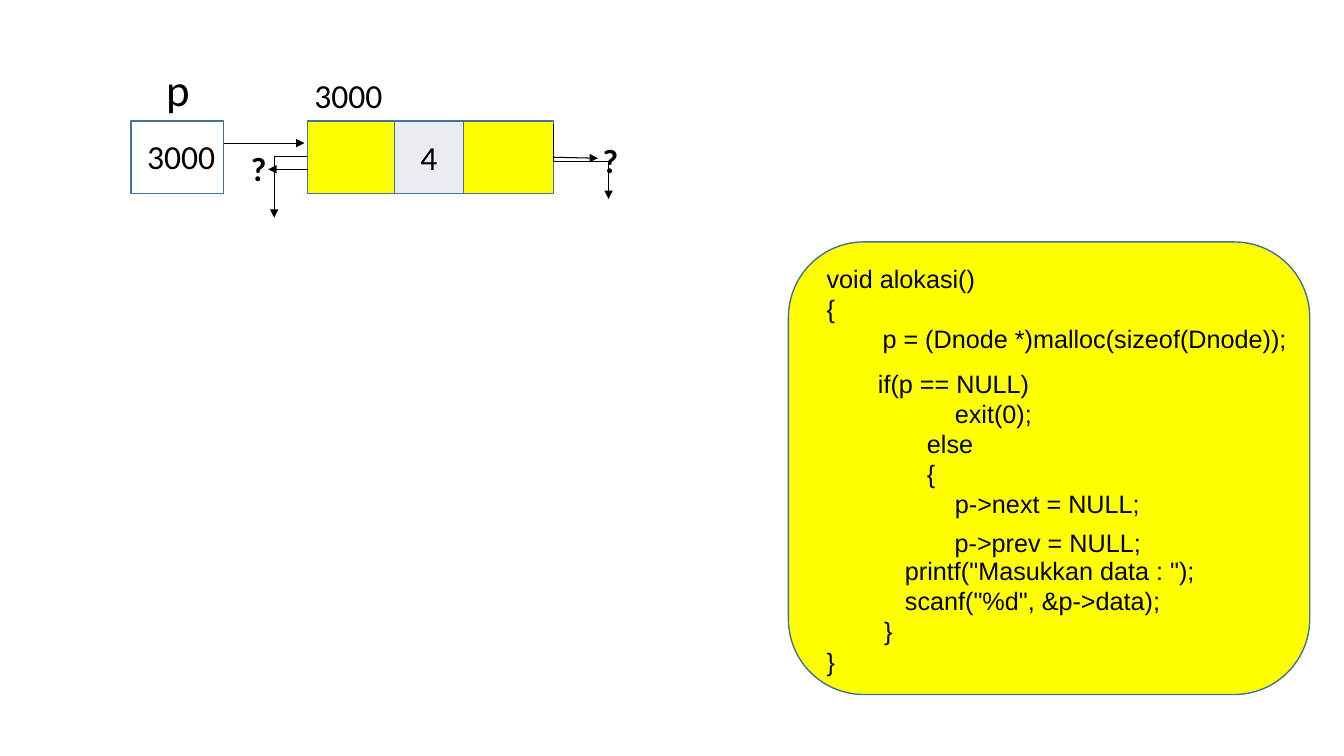
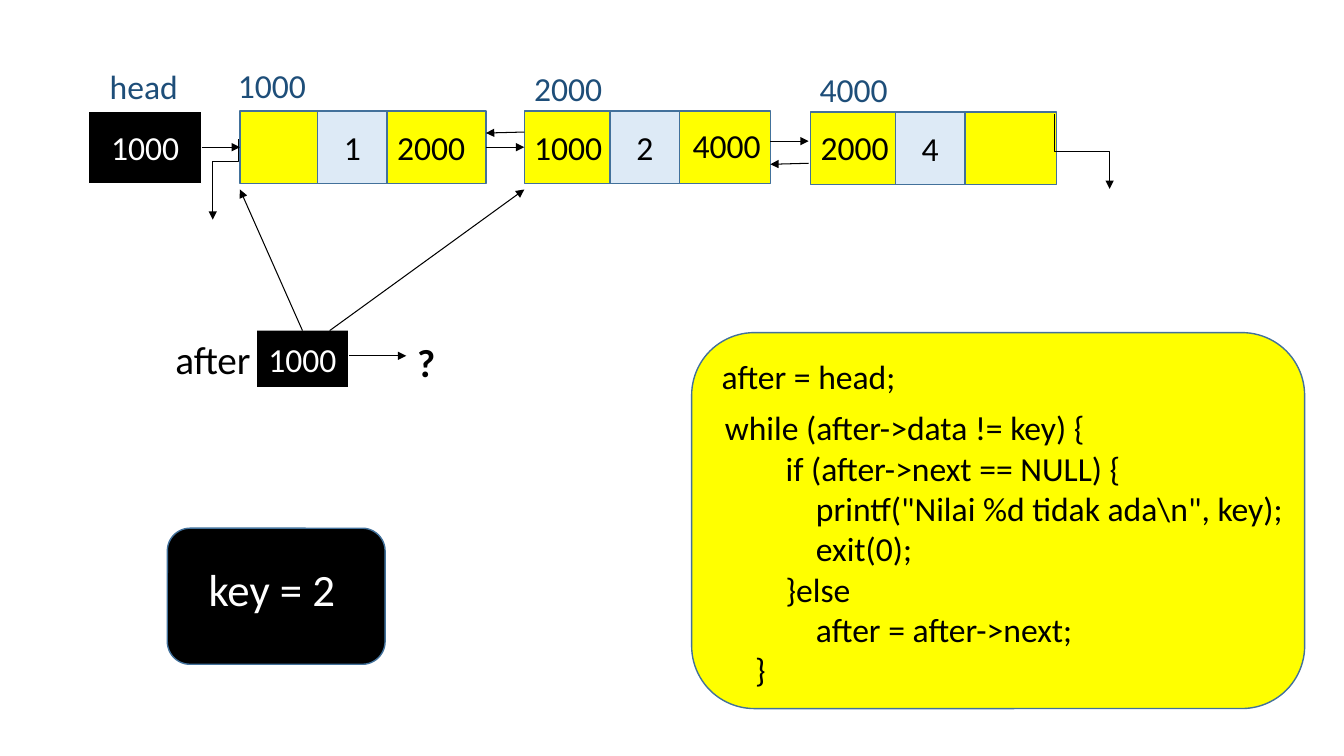
"""Two slides on doubly linked lists: allocating a node and searching for a key."""
from pptx import Presentation
from pptx.dml.color import RGBColor
from pptx.enum.shapes import MSO_CONNECTOR as LINK, MSO_SHAPE as SHAPE
from pptx.enum.text import MSO_ANCHOR, PP_ALIGN
from pptx.oxml.ns import qn
from pptx.util import Inches, Pt
from lxml.etree import SubElement

BLACK = RGBColor(0x00, 0x00, 0x00)
WHITE = RGBColor(0xFF, 0xFF, 0xFF)
YELLOW = RGBColor(0xFF, 0xFF, 0x00)
OUTLINE = RGBColor(0x42, 0x71, 0x9B)
NAVY = RGBColor(0x1E, 0x4E, 0x79)
PALE_GREY = RGBColor(0xE9, 0xED, 0xF1)
PALE_BLUE = RGBColor(0xDD, 0xEA, 0xF6)
CELL_HEIGHT, NODE_WIDTH, DATA_WIDTH = 0.72, 2.44, 0.69


def add_box(slide, left, top, width, height, fill, line=OUTLINE, text="", color=BLACK, kind=SHAPE.RECTANGLE):
    box = slide.shapes.add_shape(kind, Inches(left), Inches(top), Inches(width), Inches(height))
    box.shadow.inherit = False
    box.fill.solid()
    box.fill.fore_color.rgb = fill
    if line is None:
        box.line.fill.background()
    else:
        box.line.color.rgb = line
        box.line.width = Pt(1)
    if text:
        box.text_frame.text = text
        box.text_frame.vertical_anchor = MSO_ANCHOR.MIDDLE
        paragraph = box.text_frame.paragraphs[0]
        paragraph.alignment = PP_ALIGN.CENTER
        paragraph.font.color.rgb = color
        for attribute, value in {"name": "Calibri", "size": Pt(24)}.items():
            setattr(paragraph.font, attribute, value)
    return box


def add_arrow(slide, start, end, kind=LINK.STRAIGHT):
    arrow = slide.shapes.add_connector(kind, *(Inches(value) for value in (*start, *end)))
    arrow.line.color.rgb = BLACK
    arrow.line.width = Pt(0.75)
    properties = arrow.element.spPr
    SubElement(properties.find(qn("a:ln")), qn("a:tailEnd"), type="triangle")
    SubElement(properties, qn("a:effectLst"))
    return arrow


prs = Presentation()
prs.slide_width, prs.slide_height = Inches(13.33), Inches(7.5)
allocation, search = (prs.slides.add_slide(prs.slide_layouts[6]) for _ in range(2))

for slide, left, top, width, height, fill in [
    (allocation, 7.82, 2.4, 5.17, 4.49, YELLOW),
    (search, 6.86, 3.3, 6.08, 3.73, YELLOW),
    (search, 1.66, 5.24, 2.16, 1.35, BLACK),
]:
    add_box(slide, left, top, width, height, fill, kind=SHAPE.ROUNDED_RECTANGLE)

nodes = []
for slide, left, top, data_left, data, data_fill in [
    (allocation, 3.05, 1.2, 3.91, "4", PALE_GREY),
    (search, 2.38, 1.1, 3.15, "1", PALE_BLUE),
    (search, 5.2, 1.1, 6.05, "2", PALE_BLUE),
    (search, 8.04, 1.11, 8.88, "4", PALE_BLUE),
]:
    nodes.append(add_box(slide, left, top, NODE_WIDTH, CELL_HEIGHT, YELLOW))
    add_box(slide, data_left, top, DATA_WIDTH, CELL_HEIGHT, data_fill, text=data)
new_node, first_node, second_node, third_node = nodes

add_box(allocation, 1.3, 1.2, 0.92, CELL_HEIGHT, WHITE)
head = add_box(search, 0.88, 1.1, 1.12, CELL_HEIGHT, BLACK, WHITE, "1000", WHITE)
after = add_box(search, 2.55, 3.28, 0.9, 0.56, BLACK, None, "1000", WHITE)

for slide, start, end in [
    (allocation, (3.05, 1.68), (2.66, 1.68)),
    (allocation, (2.22, 1.42), (3.02, 1.42)),
    (search, (5.2, 1.31), (4.82, 1.32)),
    (search, (7.64, 1.4), (8.02, 1.4)),
    (search, (8.02, 1.62), (7.64, 1.63)),
    (search, (3.46, 3.53), (4.03, 3.53)),
    (search, (3.27, 3.28), (5.2, 1.88)),
]:
    add_arrow(slide, start, end)

add_arrow(allocation, (5.49, 1.56), (5.93, 1.57)).begin_connect(new_node, 3)
add_arrow(search, (3, 3.28), (2.38, 1.88)).begin_connect(after, 0)
for source, target in [(head, first_node), (first_node, second_node)]:
    link = add_arrow(search, (2, 1.46), (2.38, 1.46))
    link.begin_connect(source, 3)
    link.end_connect(target, 1)

for slide, start, end, degrees, preset, bend in [
    (allocation, (6.13, 1.33), (5.39, 1.88), 270, "bentConnector3", 0.5),
    (allocation, (3.05, 1.55), (2.72, 2.16), 0, "bentConnector2", None),
    (search, (1.84, 1.65), (2.64, 1.91), 90, "bentConnector3", 0.28),
    (search, (11.1, 1.23), (10.36, 1.78), 270, "bentConnector3", 0.5),
]:
    elbow = add_arrow(slide, start, end, LINK.ELBOW).element.spPr
    elbow.find(qn("a:xfrm")).set("rot", str(degrees * 60000))
    geometry = elbow.find(qn("a:prstGeom"))
    geometry.set("prst", preset)
    if bend is not None:
        SubElement(geometry.find(qn("a:avLst")), qn("a:gd"), name="adj1", fmla=f"val {round(bend * 100000)}")

allocate_code = """void alokasi()
{
        p = (Dnode *)malloc(sizeof(Dnode));"""
check_code = """ if(p == NULL)
            exit(0);
        else
        {
            p->next = NULL;"""
input_code = """\t    printf("Masukkan data : ");
\t    scanf("%d", &p->data);
\t }
}"""
search_code = """while (after->data != key) {
        if (after->next == NULL) {
            printf("Nilai %d tidak ada\\n", key);
            exit(0);
        }else
            after = after->next;
    }"""

calibri = {"name": "Calibri", "size": Pt(24)}
medium = {**calibri, "size": Pt(28)}
large = {**calibri, "size": Pt(32)}
arial = {"name": "Arial", "size": Pt(18)}
for slide, text, left, top, width, height, style, color in [
    (allocation, "3000", 3.02, 0.69, 1.01, 0.5, calibri, BLACK),
    (allocation, "p", 1.55, 0.56, 0.5, 0.64, large, BLACK),
    (allocation, "3000", 1.36, 1.3, 1.01, 0.5, calibri, BLACK),
    (allocation, "?", 5.88, 1.34, 0.5, 0.5, {**calibri, "bold": True}, BLACK),
    (allocation, "?", 2.39, 1.42, 0.5, 0.5, {**calibri, "bold": True}, BLACK),
    (allocation, allocate_code, 8.1, 2.56, 4.9, 1.62, arial, BLACK),
    (allocation, check_code, 8.54, 3.6, 2.89, 2.9, arial, BLACK),
    (allocation, "p->prev = NULL;", 9.37, 5.18, 2.2, 0.71, arial, BLACK),
    (allocation, input_code, 8.1, 5.46, 4.88, 1.62, arial, BLACK),
    (search, "head", 0.99, 0.6, 1.1, 0.5, calibri, NAVY),
    (search, "1000", 2.26, 0.59, 1.01, 0.5, calibri, NAVY),
    (search, "2000", 5.2, 0.62, 1.1, 0.5, calibri, NAVY),
    (search, "4000", 8.03, 0.63, 1.1, 0.5, calibri, NAVY),
    (search, "2000", 3.84, 1.21, 1.1, 0.5, calibri, BLACK),
    (search, "1000", 5.2, 1.21, 1.1, 0.5, calibri, BLACK),
    (search, "4000", 6.77, 1.19, 1.01, 0.5, calibri, BLACK),
    (search, "2000", 8.04, 1.21, 1.1, 0.5, calibri, BLACK),
    (search, "after", 1.64, 3.28, 1.1, 0.57, medium, BLACK),
    (search, "?", 4.04, 3.31, 0.5, 0.57, {**medium, "bold": True}, BLACK),
    (search, "after = head;", 7.06, 3.48, 2.2, 0.5, calibri, BLACK),
    (search, search_code, 7.09, 3.99, 5.85, 2.93, calibri, BLACK),
    (search, "key = 2", 1.97, 5.52, 1.6, 0.64, large, WHITE),
]:
    label = slide.shapes.add_textbox(Inches(left), Inches(top), Inches(width), Inches(height)).text_frame
    label.word_wrap = True
    label.text = text
    for paragraph in label.paragraphs:
        paragraph.font.color.rgb = color
        for attribute, value in style.items():
            setattr(paragraph.font, attribute, value)

prs.save("out.pptx")
